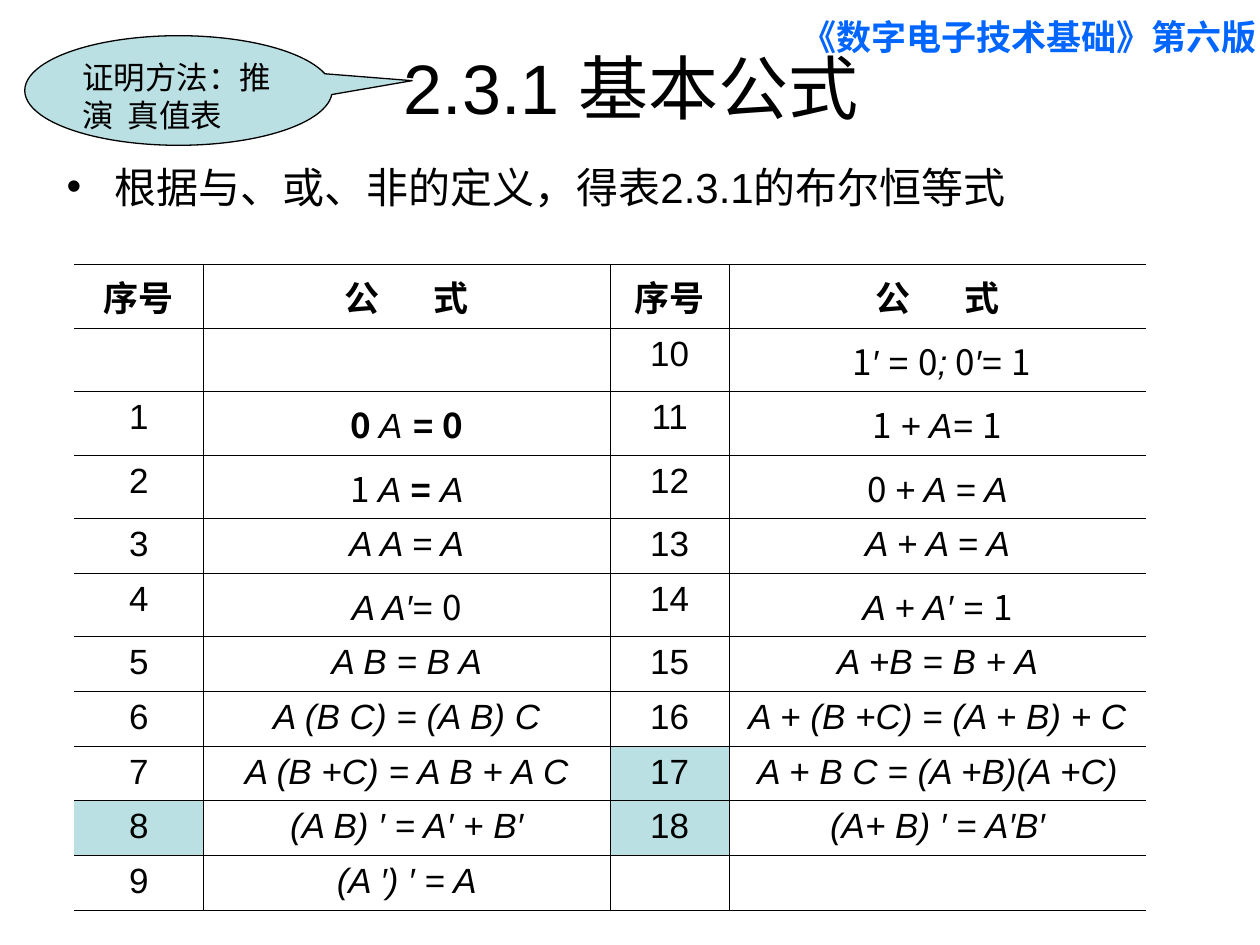
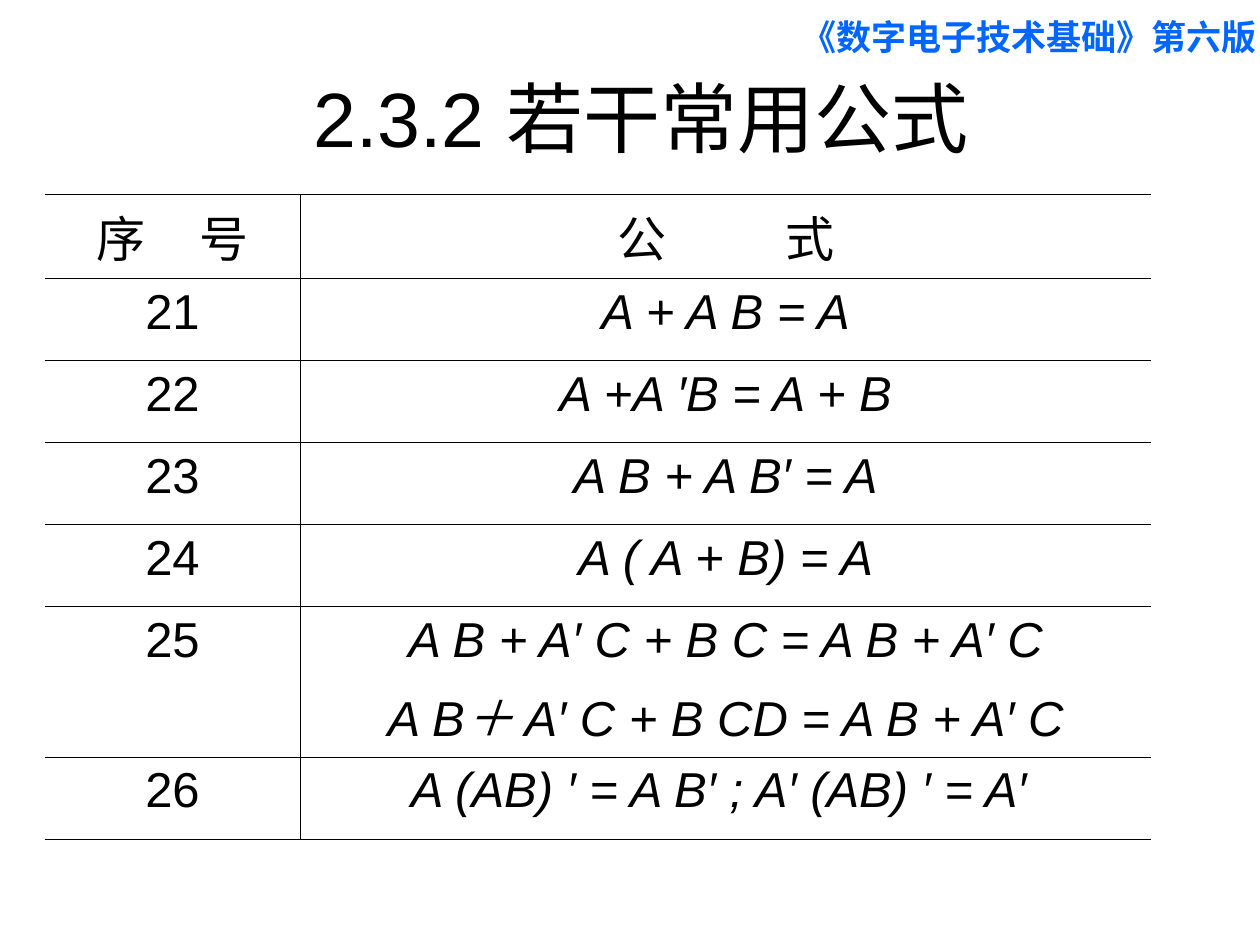
"""Build two slides of Boolean algebra identities with a shared style."""
from dataclasses import dataclass
from itertools import groupby

from lxml import etree
from pptx import Presentation
from pptx.dml.color import RGBColor
from pptx.enum.shapes import MSO_SHAPE
from pptx.enum.text import MSO_ANCHOR, PP_ALIGN
from pptx.oxml.ns import qn
from pptx.util import Emu, Pt

CALLOUT = MSO_SHAPE.OVAL_CALLOUT
MIDDLE, TOP = MSO_ANCHOR.MIDDLE, MSO_ANCHOR.TOP
LEFT, CENTER = PP_ALIGN.LEFT, PP_ALIGN.CENTER
EMU_PER_PX = 914.4


@dataclass(frozen=True)
class Theme:
    latin: str = "Arial"
    cjk: str = "Noto Sans CJK SC"
    ink: str = "000000"
    book_blue: str = "0066FF"
    tint: str = "BBE0E3"
    rule: float = 0.45
    outline: float = 0.75
    book_size: int = 20
    body_size: int = 24
    callout_size: int = 18
    space_em: float = 0.22


def px(length):
    return Emu(round(length * EMU_PER_PX))


class Deck:
    def __init__(self, theme):
        self.theme = theme
        self.prs = Presentation()
        self.prs.slide_width, self.prs.slide_height = px(10000), px(7500)
        self.slide = None

    def new_slide(self, book):
        self.slide = self.prs.slides.add_slide(self.prs.slide_layouts[6])
        header = self.text_box(6260, 70, 4060, 440)
        self.run(header, book, self.theme.book_size, bold=True, color=self.theme.book_blue)

    def run(self, paragraph, text, size, bold=False, italic=False, font=None, color=None):
        run = paragraph.add_run()
        run.text = text
        run.font.size = Pt(size)
        run.font.bold, run.font.italic = bold, italic
        run.font.color.rgb = RGBColor.from_string(color or self.theme.ink)
        run.font.name = font or self.theme.latin
        properties = run._r.get_or_add_rPr()
        etree.SubElement(properties, qn("a:ea"), typeface=self.theme.cjk)
        return properties

    def spaced(self, paragraph, text, size, spaces=1, bold=False):
        before, gap, after = text.partition(" ")
        self.run(paragraph, before, size, bold)
        if gap:
            extra = (spaces - 1) * self.theme.space_em * size
            self.run(paragraph, gap, size, bold, font=self.theme.cjk).set("spc", str(round(extra * 100)))
            self.run(paragraph, after, size, bold)

    def formula(self, paragraph, text, size):
        """Set constants upright, with ~ as their space; asterisks enclose bold."""
        for index, part in enumerate(text.split("*")):
            for constant, letters in groupby(part, lambda letter: letter in "01~"):
                self.run(paragraph, "".join(letters).replace("~", " "), size,
                         bold=index % 2 == 1, italic=not constant,
                         font=self.theme.cjk if constant else None)

    def text_box(self, left, top, width, height, align=LEFT, anchor=TOP):
        box = self.slide.shapes.add_textbox(px(left), px(top), px(width), px(height))
        box.text_frame.word_wrap = True
        box.text_frame.vertical_anchor = anchor
        paragraph = box.text_frame.paragraphs[0]
        paragraph.alignment = align
        return paragraph

    def title(self, left, top, text, size):
        self.run(self.text_box(left, top, 9000, 970, CENTER, MIDDLE), text, size)

    def bullet(self, left, top, width, height, text):
        paragraph = self.text_box(left, top, width, height)
        properties = paragraph._p.get_or_add_pPr()
        properties.set("marL", str(px(380)))
        properties.set("indent", str(px(-380)))
        etree.SubElement(properties, qn("a:buFont"), typeface=self.theme.latin)
        etree.SubElement(properties, qn("a:buChar"), char="•")
        self.run(paragraph, text, self.theme.body_size)

    def callout(self, left, top, width, height, tip, text, spaces):
        balloon = self.slide.shapes.add_shape(CALLOUT, px(left), px(top), px(width), px(height))
        balloon.adjustments[0], balloon.adjustments[1] = tip
        balloon.shadow.inherit = False
        balloon.fill.solid()
        balloon.fill.fore_color.rgb = RGBColor.from_string(self.theme.tint)
        balloon.line.color.rgb = RGBColor.from_string(self.theme.ink)
        balloon.line.width = Pt(self.theme.outline)
        balloon.text_frame.word_wrap = True
        balloon.text_frame.vertical_anchor = TOP
        paragraph = balloon.text_frame.paragraphs[0]
        paragraph.alignment = LEFT
        self.spaced(paragraph, text, self.theme.callout_size, spaces)

    def borders(self, cell, first, last):
        properties = cell._tc.get_or_add_tcPr()
        for side, drawn in (("L", not first), ("R", not last), ("T", True), ("B", True)):
            line = etree.SubElement(properties, qn(f"a:ln{side}"), w=str(Pt(self.theme.rule)))
            if drawn:
                fill = etree.SubElement(line, qn("a:solidFill"))
                etree.SubElement(fill, qn("a:srgbClr"), val=self.theme.ink)
            else:
                etree.SubElement(line, qn("a:noFill"))

    def table(self, left, top, widths, heights, headings, rows, size,
              bold_head=False, space_before=0, marked=()):
        """Draw number and formula columns in turn under a row of headings."""
        frame = self.slide.shapes.add_table(len(heights), len(widths), px(left), px(top),
                                            px(sum(widths)), px(sum(heights)))
        table = frame.table
        table.first_row = table.horz_banding = False
        for column, width in zip(table.columns, widths):
            column.width = px(width)
        for row, height in zip(table.rows, heights):
            row.height = px(height)
        for r, entries in enumerate([headings, *rows]):
            for c, entry in enumerate(entries):
                cell = table.cell(r, c)
                self.borders(cell, c == 0, c == len(widths) - 1)
                if entry in marked:
                    cell.fill.solid()
                    cell.fill.fore_color.rgb = RGBColor.from_string(self.theme.tint)
                else:
                    cell.fill.background()
                if r == 0:
                    heading, spaces = entry
                    paragraph = cell.text_frame.paragraphs[0]
                    paragraph.alignment = CENTER
                    self.spaced(paragraph, heading, size, spaces, bold_head)
                elif entry:
                    self.entry(cell.text_frame, entry, size, space_before)

    def entry(self, frame, entry, size, space_before):
        lines = entry if isinstance(entry, list) else [entry]
        for index, line in enumerate(lines):
            paragraph = frame.add_paragraph() if index else frame.paragraphs[0]
            paragraph.alignment = CENTER
            if index:
                paragraph.space_before = Pt(space_before)
            if isinstance(line, int):
                self.run(paragraph, str(line), size)
            else:
                self.formula(paragraph, line, size)


BOOK = "《数字电子技术基础》第六版"
AND_LAWS = ["*0~*A* = 0*", "1 A *= *A", "A A = A", "A A′= 0", "A B = B A",
            "A (B C) = (A B) C", "A (B +C) = A B + A C", "(A B) ′ = A′ + B′", "(A ′) ′ = A"]
OR_LAWS = ["~1′ = 0;~0′= 1", "1~+ A= 1", "0~+ A = A", "A + A = A", "A + A′ = 1",
           "A +B = B + A", "A + (B +C) = (A + B) + C", "A + B C = (A +B)(A +C)",
           "(A+ B) ′ = A′B′"]
COMMON_LAWS = ["A + A B = A", "A +A ′B = A + B", "A B + A B′ = A", "A ( A + B) = A",
               ["A B + A′ C + B C = A B + A′ C", "A B＋ A′ C + B CD = A B + A′ C"],
               "A (AB) ′ = A B′ ; A′ (AB) ′ = A′ "]


def basic_laws(deck):
    deck.new_slide(BOOK)
    deck.title(510, 205, "2.3.1 基本公式", 40)
    deck.bullet(430, 1230, 8820, 1020, "根据与、或、非的定义，得表2.3.1的布尔恒等式")
    blank = ("", "")
    left = [blank, *enumerate(AND_LAWS, 1)]
    right = [*enumerate(OR_LAWS, 10), blank]
    rows = [a + b for a, b in zip(left, right)]
    has_constant = [any(digit in row[1] + row[3] for digit in "01") for row in rows]
    heights = [504 if tall else 434 for tall in [True, *has_constant]]
    deck.table(590, 2100, [1024, 3230, 943, 3310], heights,
               [("序号", 1), ("公 式", 7)] * 2, rows,
               20, bold_head=True, marked=(8, 17, 18))
    deck.callout(197, 284, 2440, 870, (0.76, -0.09), "证明方法：推演 真值表", 2)


def common_laws(deck):
    deck.new_slide(BOOK)
    deck.title(590, 440, "2.3.2 若干常用公式", 44)
    deck.table(354, 1546, [2030, 6750], [664] + [651] * 4 + [1198, 651],
               [("序 号", 5), ("公 式", 11)], list(enumerate(COMMON_LAWS, 21)),
               28, space_before=7)


def main():
    deck = Deck(Theme())
    basic_laws(deck)
    common_laws(deck)
    deck.prs.save("out.pptx")


if __name__ == "__main__":
    main()
